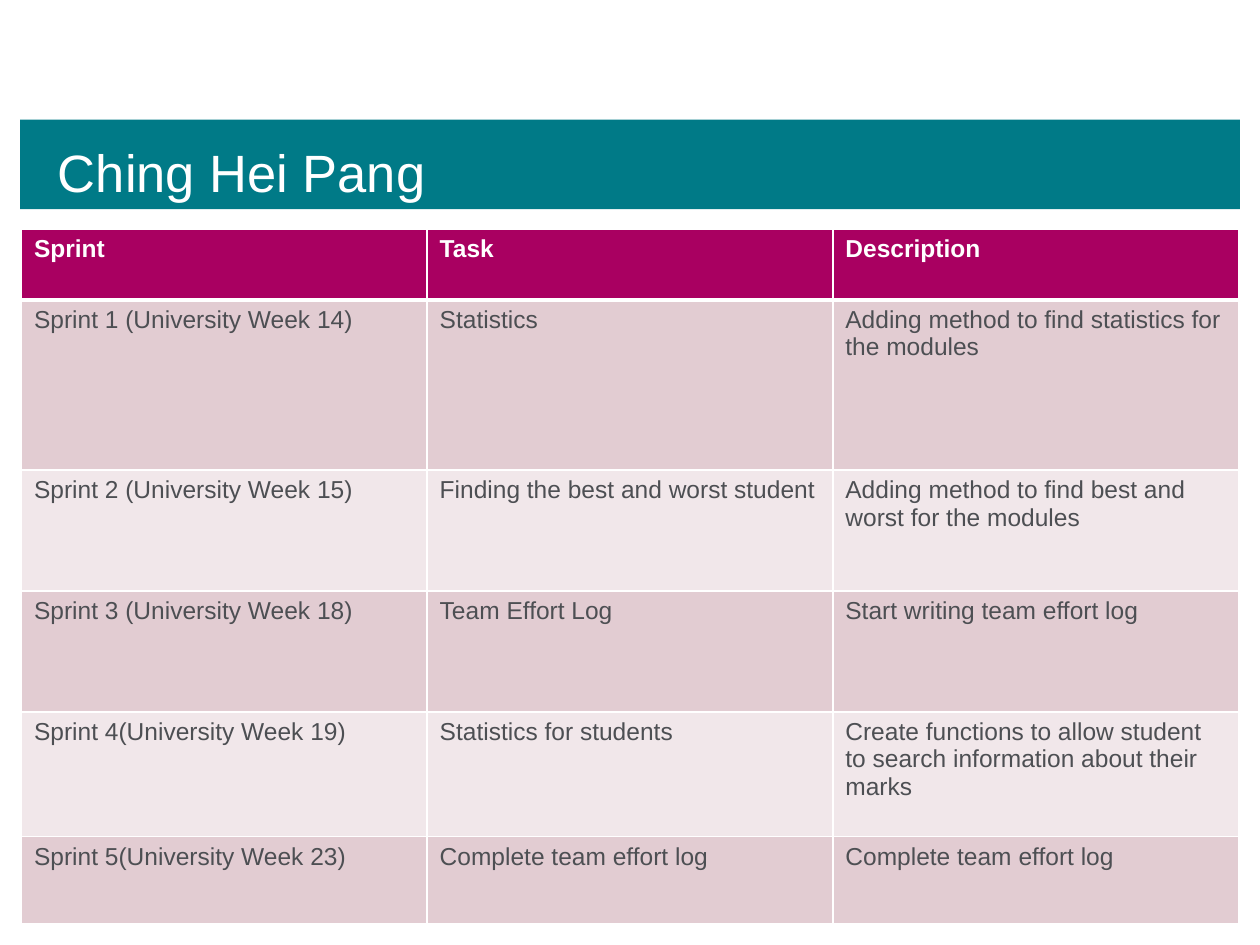
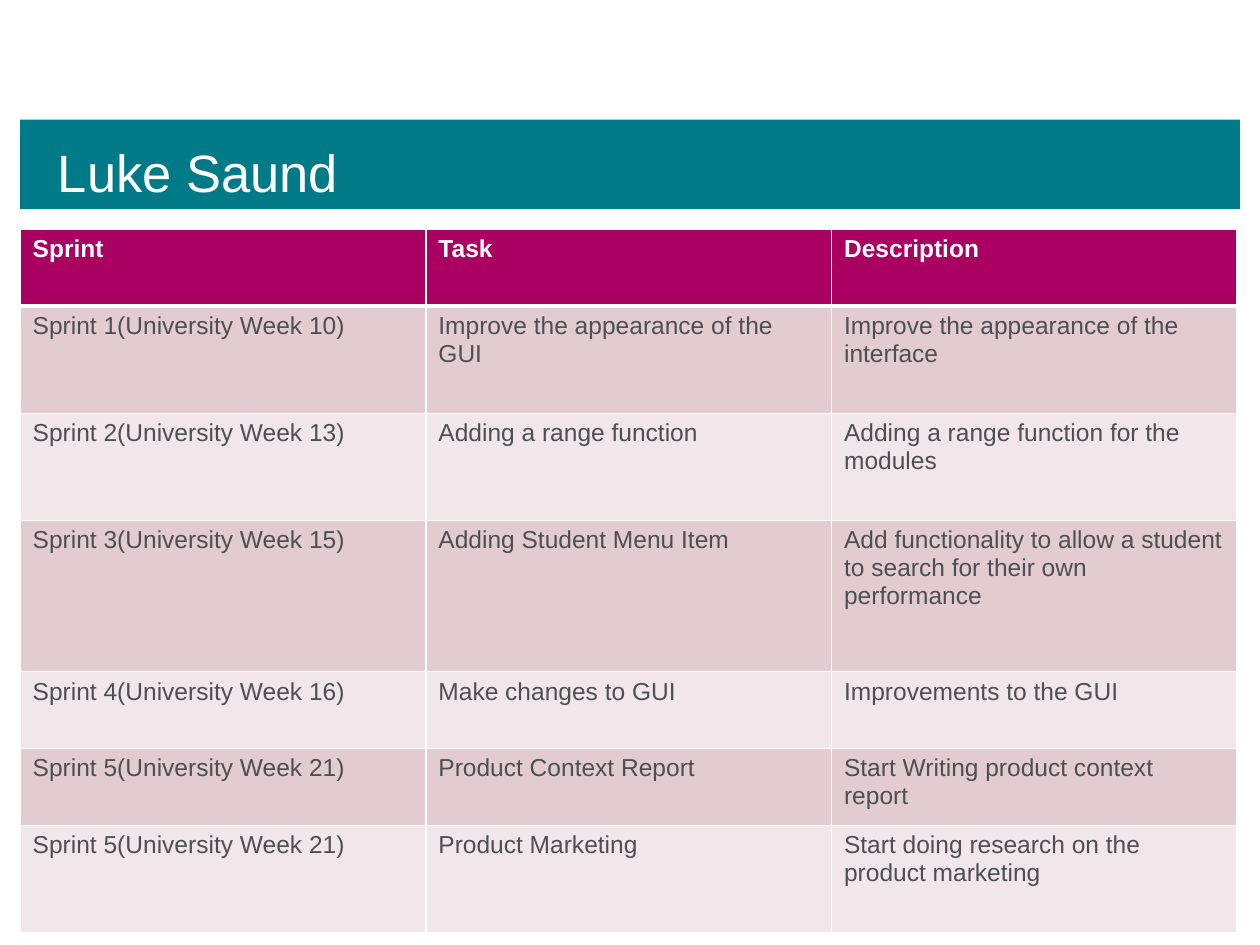
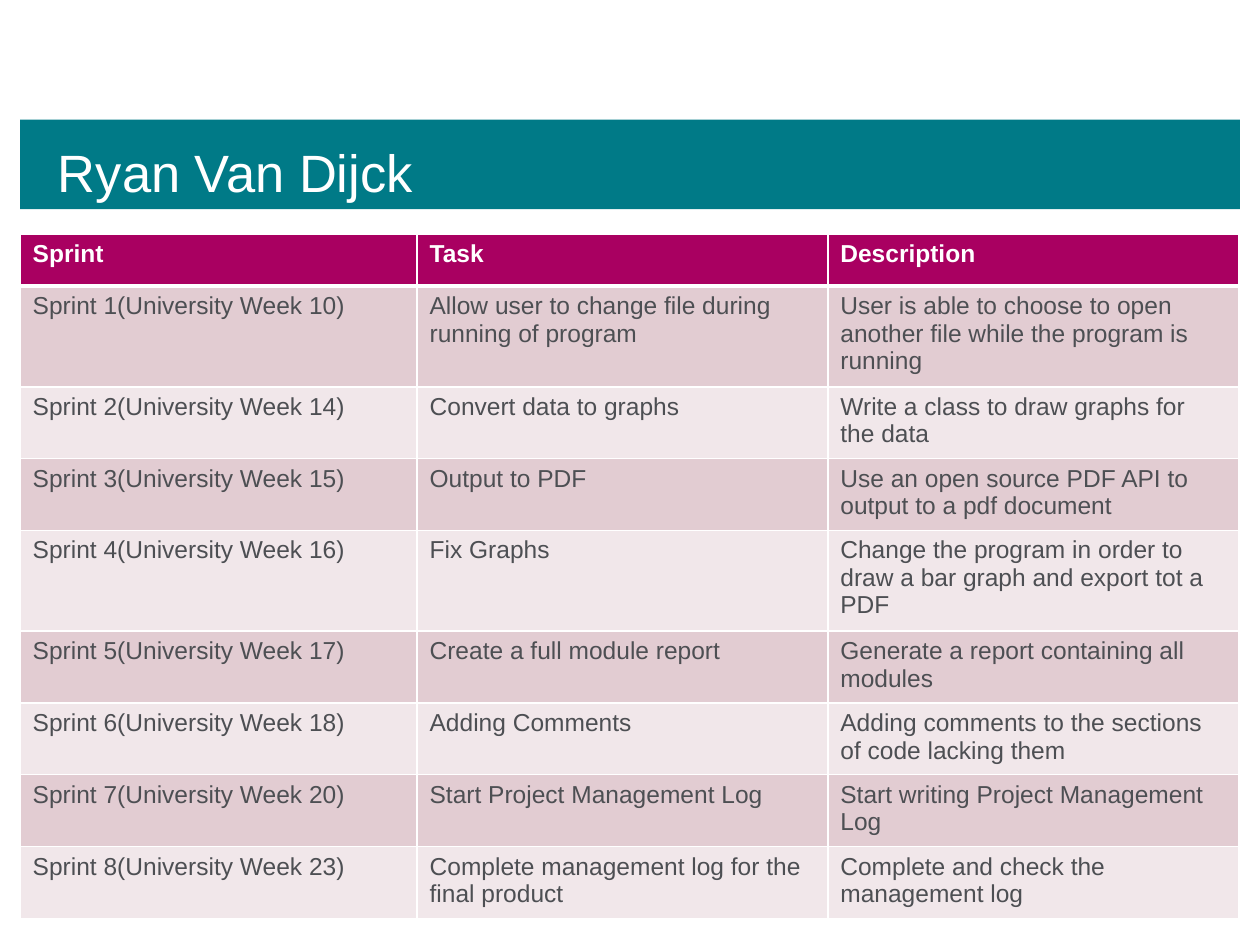
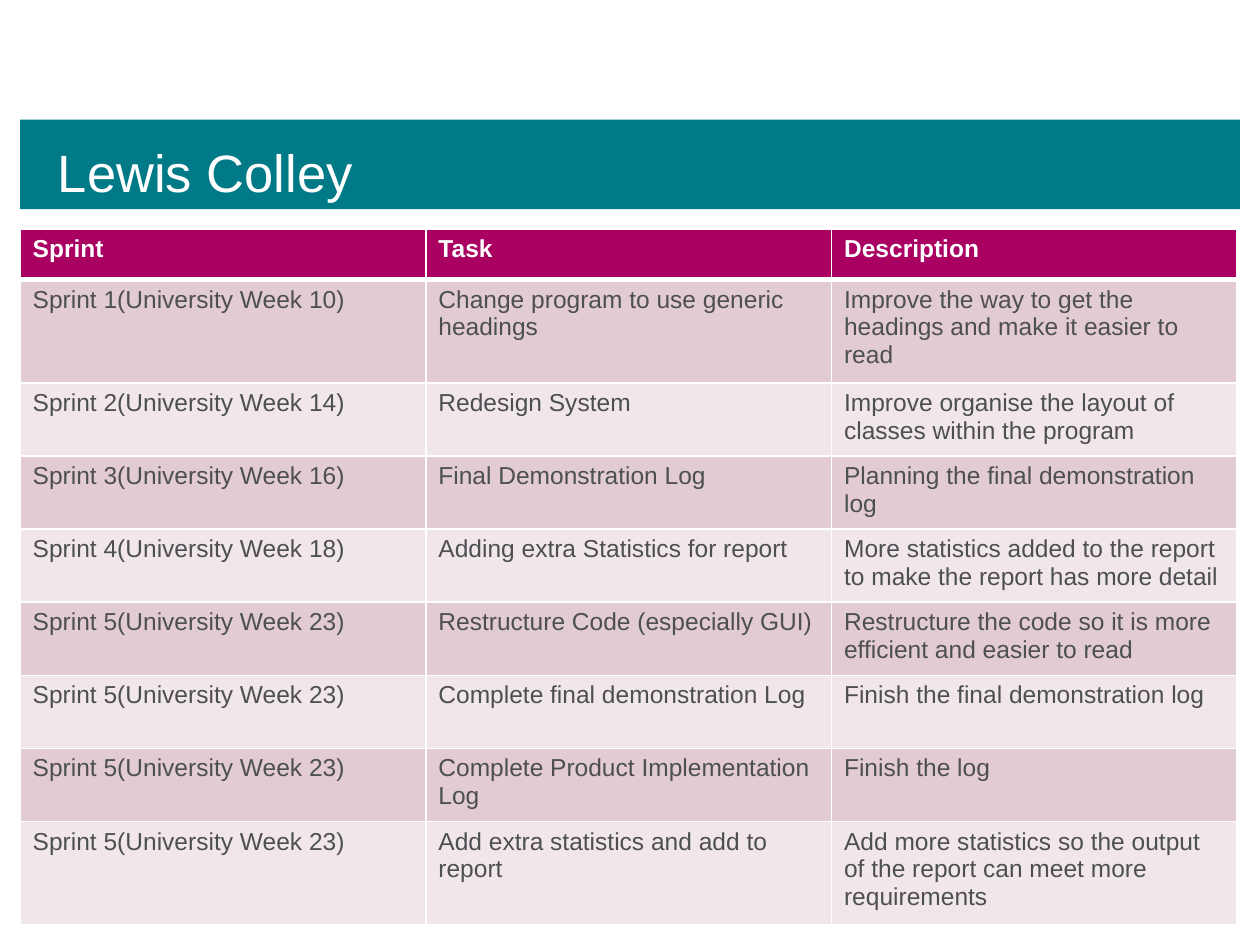
from pptx import Presentation
from pptx.dml.color import RGBColor
from pptx.enum import shapes, text
from pptx.oxml import parse_xml
from pptx.oxml.ns import nsdecls
from pptx.util import Inches, Pt

# Shared style
COLORS = {
    "band": "007A87",
    "header": "A90061",
    "odd": "E2CCD2",
    "even": "F1E7EA",
    "body": "4D4F53",
    "white": "FFFFFF",
}
FONT = "Arial"
HEADINGS = ("Sprint", "Task", "Description")
EQUAL_COLS = (3.22, 3.22, 3.22)

# Content: one sprint table per team member; heights start with the header row
MEMBERS = [
    {
        "name": "Ching Hei Pang",
        "at": (0.17, 1.82),
        "cols": EQUAL_COLS,
        "heights": (0.56, 1.35, 0.96, 0.96, 0.99, 0.69),
        "sprints": [
            ("Sprint 1 (University Week 14)", "Statistics",
             "Adding method to find statistics for the modules"),
            ("Sprint 2 (University Week 15)", "Finding the best and worst student",
             "Adding method to find best and worst for the modules"),
            ("Sprint 3 (University Week 18)", "Team Effort Log",
             "Start writing team effort log"),
            ("Sprint 4(University Week 19)", "Statistics for students",
             "Create functions to allow student to search information about their marks"),
            ("Sprint 5(University Week 23)", "Complete team effort log",
             "Complete team effort log"),
        ],
    },
    {
        "name": "Luke Saund",
        "at": (0.16, 1.82),
        "cols": EQUAL_COLS,
        "heights": (0.61, 0.85, 0.85, 1.2, 0.61, 0.61, 0.85),
        "sprints": [
            ("Sprint 1(University Week 10)", "Improve the appearance of the GUI",
             "Improve the appearance of the interface"),
            ("Sprint 2(University Week 13)", "Adding a range function",
             "Adding a range function for the modules"),
            ("Sprint 3(University Week 15)", "Adding Student Menu Item",
             "Add functionality to allow a student to search for their own performance"),
            ("Sprint 4(University Week 16)", "Make changes to GUI",
             "Improvements to the GUI"),
            ("Sprint 5(University Week 21)", "Product Context Report",
             "Start Writing product context report"),
            ("Sprint 5(University Week 21)", "Product Marketing",
             "Start doing research on the product marketing"),
        ],
    },
    {
        "name": "Ryan Van Dijck",
        "at": (0.16, 1.86),
        "cols": (3.15, 3.26, 3.26),
        "heights": (0.41, 0.8, 0.57, 0.57, 0.8, 0.57, 0.57, 0.57, 0.57),
        "sprints": [
            ("Sprint 1(University Week 10)",
             "Allow user to change file during running of program",
             "User is able to choose to open another file while the program is running"),
            ("Sprint 2(University Week 14)", "Convert data to graphs",
             "Write a class to draw graphs for the data"),
            ("Sprint 3(University Week 15)", "Output to PDF",
             "Use an open source PDF API to output to a pdf document"),
            ("Sprint 4(University Week 16)", "Fix Graphs",
             "Change the program in order to draw a bar graph and export tot a PDF"),
            ("Sprint 5(University Week 17)", "Create a full module report",
             "Generate a report containing all modules"),
            ("Sprint 6(University Week 18)", "Adding Comments",
             "Adding comments to the sections of code lacking them"),
            ("Sprint 7(University Week 20)", "Start Project Management Log",
             "Start writing Project Management Log"),
            ("Sprint 8(University Week 23)",
             "Complete management log for the final product",
             "Complete and check the management log"),
        ],
    },
    {
        "name": "Lewis Colley",
        "at": (0.16, 1.82),
        "cols": EQUAL_COLS,
        "heights": (0.4, 0.82, 0.58, 0.58, 0.58, 0.58, 0.58, 0.58, 0.82),
        "sprints": [
            ("Sprint 1(University Week 10)", "Change program to use generic headings",
             "Improve the way to get the headings and make it easier to read"),
            ("Sprint 2(University Week 14)", "Redesign System",
             "Improve organise the layout of classes within the program"),
            ("Sprint 3(University Week 16)", "Final Demonstration Log",
             "Planning the final demonstration log"),
            ("Sprint 4(University Week 18)", "Adding extra Statistics for report",
             "More statistics added to the report to make the report has more detail"),
            ("Sprint 5(University Week 23)", "Restructure Code (especially GUI)",
             "Restructure the code so it is more efficient and easier to read"),
            ("Sprint 5(University Week 23)", "Complete final demonstration Log",
             "Finish the final demonstration log"),
            ("Sprint 5(University Week 23)", "Complete Product Implementation Log",
             "Finish the log"),
            ("Sprint 5(University Week 23)", "Add extra statistics and add to report",
             "Add more statistics so the output of the report can meet more requirements"),
        ],
    },
]


def rgb(name):
    return RGBColor.from_string(COLORS[name])


def style(p, size, color, bold=False):
    p.font.name = FONT
    p.font.size = Pt(size)
    p.font.bold = bold
    p.font.color.rgb = rgb(color)


def add_title(s, name):
    sp = s.shapes.add_shape(shapes.MSO_SHAPE.RECTANGLE, Inches(0.16), Inches(0.95),
                            Inches(9.68), Inches(0.71))
    sp.shadow.inherit = False
    sp.fill.solid()
    sp.fill.fore_color.rgb = rgb("band")
    sp.line.fill.background()
    tf = sp.text_frame
    tf.word_wrap = True
    tf.vertical_anchor = text.MSO_ANCHOR.BOTTOM
    tf.margin_left, tf.margin_top = Inches(0.3), Inches(0.15)
    tf.margin_right, tf.margin_bottom = Inches(0.25), Inches(0.05)
    p = tf.paragraphs[0]
    p.text = name
    p.alignment = text.PP_ALIGN.LEFT
    style(p, 30, "white")


def set_borders(cell, top, bottom):
    # Borders come before the fill in a cell's properties
    tc_pr = cell._tc.get_or_add_tcPr()
    widths = (("lnL", 1), ("lnR", 1), ("lnT", top), ("lnB", bottom))
    for i, (side, width) in enumerate(widths):
        tc_pr.insert(i, parse_xml(
            f'<a:{side} {nsdecls("a")} w="{Pt(width)}"><a:solidFill>'
            f'<a:srgbClr val="{COLORS["white"]}"/></a:solidFill></a:{side}>'))


def add_sprint_table(s, member):
    rows = [HEADINGS] + member["sprints"]
    cols, heights = member["cols"], member["heights"]
    left, top = member["at"]
    table = s.shapes.add_table(len(rows), len(cols), Inches(left), Inches(top),
                               Inches(sum(cols)), Inches(sum(heights))).table
    for column, width in zip(table.columns, cols):
        column.width = Inches(width)
    for r, (row, height) in enumerate(zip(rows, heights)):
        table.rows[r].height = Inches(height)
        is_header = r == 0
        fill = "header" if is_header else ("even", "odd")[r % 2]
        for c, words in enumerate(row):
            cell = table.cell(r, c)
            cell.fill.solid()
            cell.fill.fore_color.rgb = rgb(fill)
            set_borders(cell, top=3 if r == 1 else 1, bottom=3 if is_header else 1)
            p = cell.text_frame.paragraphs[0]
            p.text = words
            style(p, 14, "white" if is_header else "body", bold=is_header)


def main():
    prs = Presentation()
    prs.slide_width, prs.slide_height = Inches(10), Inches(7.5)
    for member in MEMBERS:
        s = prs.slides.add_slide(prs.slide_layouts[6])
        add_title(s, member["name"])
        add_sprint_table(s, member)
    prs.save("out.pptx")


if __name__ == "__main__":
    main()
